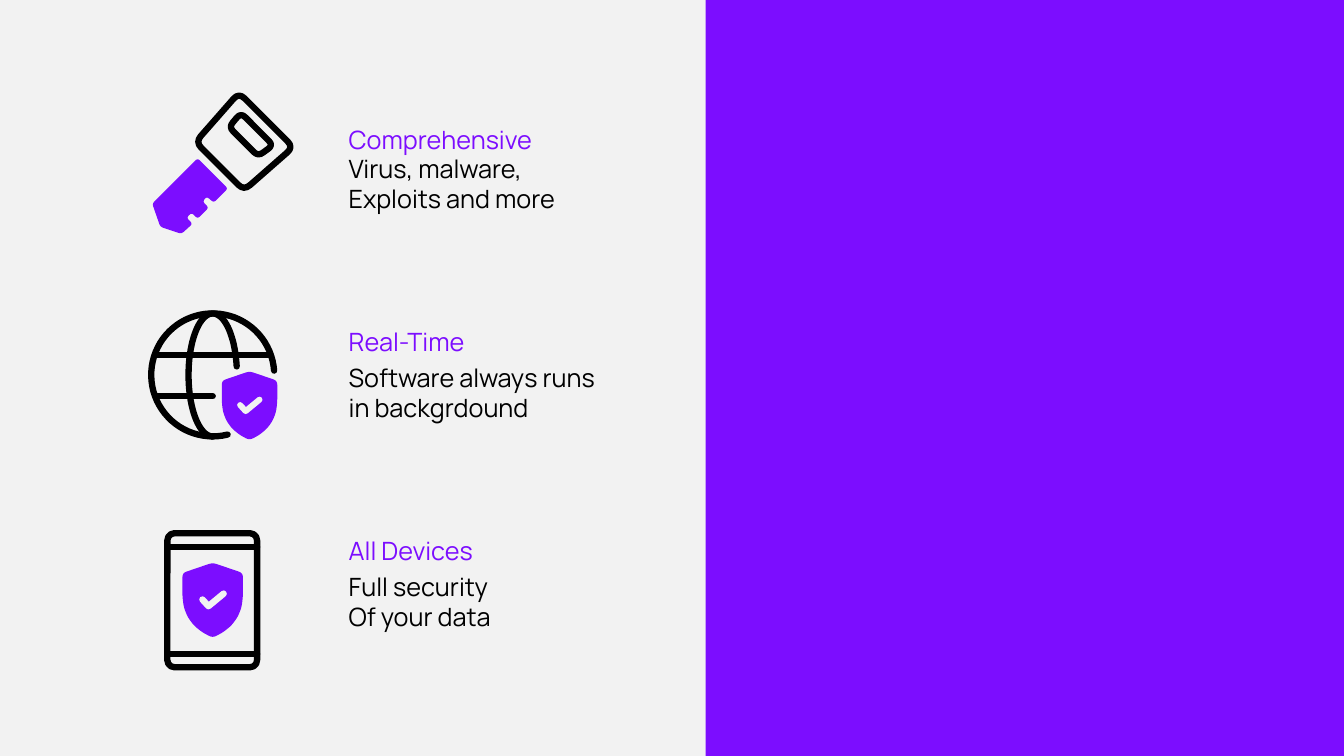
from math import cos, hypot, radians, sin

from lxml import etree
from pptx import Presentation
from pptx.dml.color import RGBColor
from pptx.enum.shapes import MSO_CONNECTOR, MSO_SHAPE
from pptx.oxml.ns import qn
from pptx.util import Inches, Pt

PURPLE = RGBColor(0x7C, 0x0D, 0xFF)
BLACK = RGBColor(0, 0, 0)
GREY = RGBColor(0xF2, 0xF2, 0xF2)
FONT = "Manrope"
STROKE = 4.5  # icon line width in points


# Geometry
def rounded(points, radius):
    """Replace each corner of a polygon with a short curve."""
    result = []
    for i, (x, y) in enumerate(points):
        ends = []
        for nx, ny in (points[i - 1], points[(i + 1) % len(points)]):
            t = min(0.5, radius / hypot(nx - x, ny - y))
            ends.append((x + (nx - x) * t, y + (ny - y) * t))
        (ax, ay), (bx, by) = ends
        for t in (0, 0.25, 0.5, 0.75, 1):
            u = 1 - t
            result.append((u * u * ax + 2 * u * t * x + t * t * bx,
                           u * u * ay + 2 * u * t * y + t * t * by))
    return result


def arc(cx, cy, rx, ry, start, end, steps=60):
    angles = [radians(start + (end - start) * i / steps) for i in range(steps + 1)]
    return [(cx + rx * cos(a), cy + ry * sin(a)) for a in angles]


# Drawing
def set_stroke(sp, color, width):
    sp.line.color.rgb = color
    sp.line.width = Pt(width)
    ln = sp.line._get_or_add_ln()
    ln.set("cap", "rnd")
    etree.SubElement(ln, qn("a:round"))


def add_path(slide, left, top, points, fill=None, stroke=None, width=STROKE, close=True):
    pts = [(Inches(left + x), Inches(top + y)) for x, y in points]
    builder = slide.shapes.build_freeform(*pts[0])
    builder.add_line_segments(pts[1:], close=close)
    sp = builder.convert_to_shape()
    sp.shadow.inherit = False
    if fill is None:
        sp.fill.background()
    else:
        sp.fill.solid()
        sp.fill.fore_color.rgb = fill
    if stroke is None:
        sp.line.fill.background()
    else:
        set_stroke(sp, stroke, width)


def add_rule(slide, x1, x2, y):
    line = slide.shapes.add_connector(
        MSO_CONNECTOR.STRAIGHT, Inches(x1), Inches(y), Inches(x2), Inches(y))
    set_stroke(line, BLACK, STROKE)
    etree.SubElement(line._element.spPr, qn("a:effectLst"))


def add_shield(slide, left, top, width, height):
    right = [(1, 0.13), (1, 0.45)]
    for t in (0.2, 0.4, 0.6, 0.8):
        u = 1 - t
        right.append((u**3 + 3 * u * u * t + 3 * u * t * t * 0.81 + t**3 * 0.5,
                      u**3 * 0.45 + 3 * u * u * t * 0.7 + 3 * u * t * t * 0.92 + t**3))
    mirrored = [(1 - x, y) for x, y in reversed(right)]
    outline = [(0.5, -0.01), *right, (0.5, 1.01), *mirrored]
    check = [(0.33, 0.49), (0.43, 0.58), (0.68, 0.41)]
    outline, check = ([(x * width, y * height) for x, y in part]
                      for part in (outline, check))
    add_path(slide, left, top, rounded(outline, 0.04), fill=PURPLE)
    add_path(slide, left, top, check, stroke=GREY, width=7.7 * width, close=False)


# Icons
def key_icon(slide, left, top):
    blade = [(0.46, 0.67), (0.01, 1.12), (0.09, 1.35), (0.30, 1.42), (0.41, 1.32),
             (0.35, 1.26), (0.40, 1.21), (0.46, 1.27), (0.57, 1.16), (0.51, 1.10),
             (0.55, 1.05), (0.62, 1.11), (0.76, 0.97)]
    head = [(0.87, 0.02), (0.44, 0.51), (0.92, 0.99), (1.41, 0.56)]
    slot = [(0.89, 0.22), (0.77, 0.36), (1.06, 0.65), (1.21, 0.54)]
    add_path(slide, left, top, rounded(blade, 0.03), fill=PURPLE)
    add_path(slide, left, top, rounded(head, 0.08), stroke=BLACK)
    add_path(slide, left, top, rounded(slot, 0.06), stroke=BLACK)


def globe_icon(slide, left, top):
    center, radius = 0.64, 0.61
    for rx, start, end in ((radius, -4, -284), (0.24, -8, -270)):
        add_path(slide, left, top, arc(center, center, rx, radius, start, end),
                 stroke=BLACK, close=False)
    add_rule(slide, left + 0.07, left + 1.21, top + 0.44)
    add_rule(slide, left + 0.07, left + 0.64, top + 0.85)
    add_shield(slide, left + 0.73, top + 0.61, 0.55, 0.67)


def phone_icon(slide, left, top):
    body = slide.shapes.add_shape(
        MSO_SHAPE.ROUNDED_RECTANGLE, Inches(left + 0.03), Inches(top + 0.03),
        Inches(0.89), Inches(1.33))
    body.adjustments[0] = 0.08
    body.shadow.inherit = False
    body.fill.background()
    set_stroke(body, BLACK, STROKE)
    for y in (0.17, 1.23):
        add_rule(slide, left + 0.03, left + 0.92, top + y)
    add_shield(slide, left + 0.18, top + 0.33, 0.6, 0.73)


# Text
def add_text(slide, left, top, width, height, lines, color):
    box = slide.shapes.add_textbox(
        Inches(left), Inches(top), Inches(width), Inches(height))
    tf = box.text_frame
    tf.word_wrap = True
    for i, line in enumerate(lines):
        p = tf.paragraphs[0] if i == 0 else tf.add_paragraph()
        r = p.add_run()
        r.text = line
        r.font.name = FONT
        r.font.size = Pt(18)
        r.font.color.rgb = color


def add_feature(slide, left, top, heading, body_gap, body):
    add_text(slide, left, top, 2.85, 0.4, [heading], PURPLE)
    add_text(slide, left, top + body_gap, 2.85, 0.71, body, BLACK)


def add_panel(slide, left, top, width, height):
    sp = slide.shapes.add_shape(
        MSO_SHAPE.RECTANGLE, Inches(left), Inches(top), Inches(width), Inches(height))
    sp.shadow.inherit = False
    sp.fill.solid()
    sp.fill.fore_color.rgb = PURPLE
    sp.line.fill.background()


def main():
    prs = Presentation()
    prs.slide_width, prs.slide_height = Inches(13.33), Inches(7.5)
    slide = prs.slides.add_slide(prs.slide_layouts[6])
    slide.background.fill.solid()
    slide.background.fill.fore_color.rgb = GREY

    add_panel(slide, 7, 0, 6.33, 7.5)
    key_icon(slide, 1.5, 0.9)
    globe_icon(slide, 1.47, 3.08)
    phone_icon(slide, 1.63, 5.26)

    features = [
        (1.18, "Comprehensive", 0.29, ["Virus, malware,", "Exploits and more"]),
        (3.19, "Real-Time", 0.35, ["Software always runs in backgrdound"]),
        (5.26, "All Devices", 0.36, ["Full security", "Of your data"]),
    ]
    for top, heading, body_gap, body in features:
        add_feature(slide, 3.36, top, heading, body_gap, body)

    prs.save("out.pptx")


if __name__ == "__main__":
    main()
